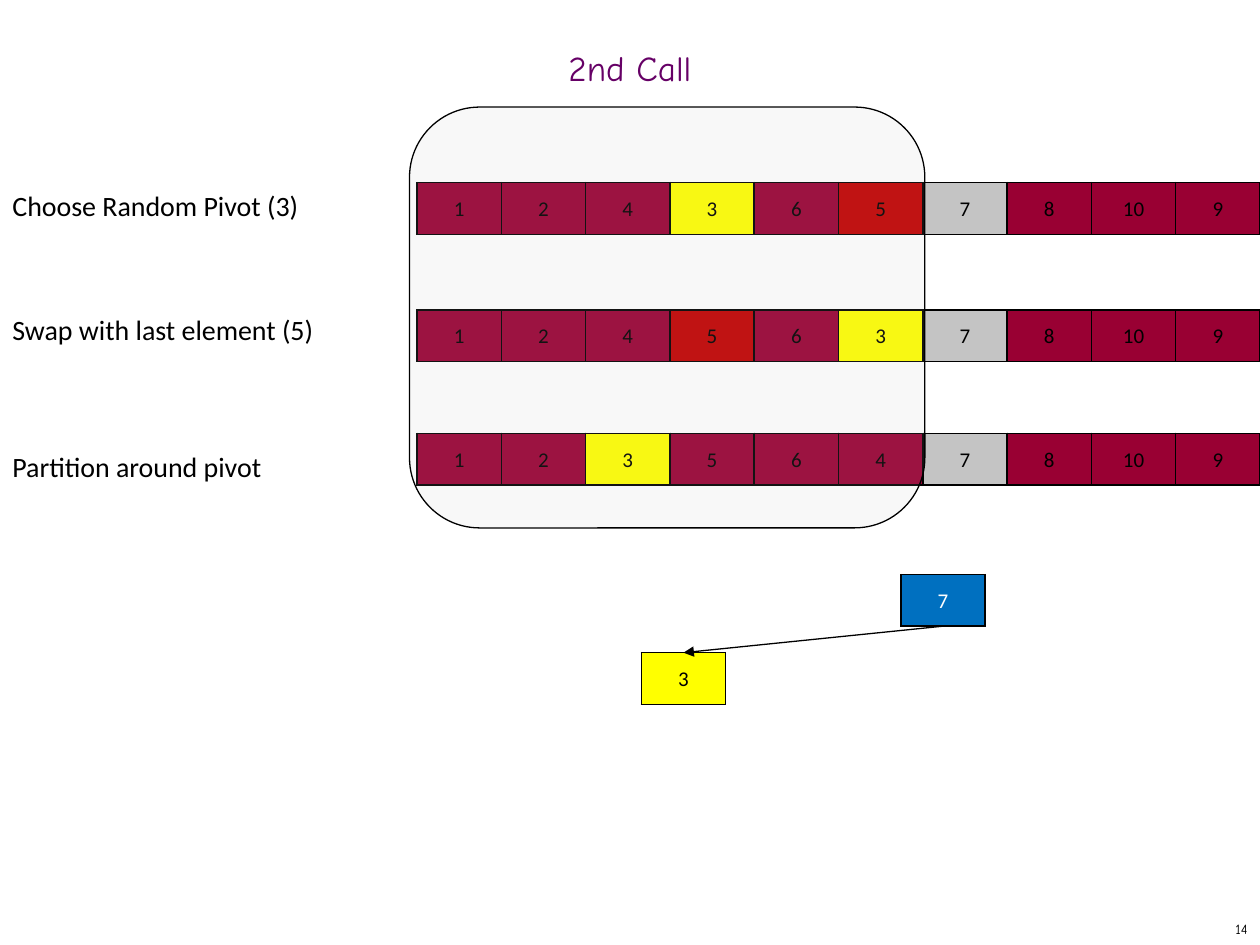
from pptx import Presentation
from pptx.dml.color import RGBColor
from pptx.enum.shapes import MSO_CONNECTOR as Connector, MSO_SHAPE as Shape
from pptx.enum.text import MSO_ANCHOR as Anchor, MSO_AUTO_SIZE as AutoSize, PP_ALIGN as Align
from pptx.oxml import parse_xml
from pptx.oxml.ns import nsdecls, qn
from pptx.util import Inches, Pt

BLACK = RGBColor(0x00, 0x00, 0x00)
WHITE = RGBColor(0xFF, 0xFF, 0xFF)
PURPLE = RGBColor(0x66, 0x00, 0x66)
MAROON = RGBColor(0x99, 0x00, 0x33)
YELLOW = RGBColor(0xFF, 0xFF, 0x00)
RED = RGBColor(0xC0, 0x00, 0x00)
GRAY = RGBColor(0xC4, 0xC4, 0xC4)
SILVER = RGBColor(0xC0, 0xC0, 0xC0)
BLUE = RGBColor(0x00, 0x70, 0xC0)

SLIDE_W, SLIDE_H = 10, 7.5
ARRAY_X = 3.31
CELL_W = (SLIDE_W - ARRAY_X) / 10
CELL_H = 0.41

# Label, label top, array top, values, fills that differ from maroon (by index)
STEPS = [
    ("Choose Random Pivot (3)", 1.45, 1.45,
     [1, 2, 4, 3, 6, 5, 7, 8, 10, 9], {3: YELLOW, 5: RED, 6: GRAY}),
    ("Swap with last element (5)", 2.43, 2.46,
     [1, 2, 4, 5, 6, 3, 7, 8, 10, 9], {3: RED, 5: YELLOW, 6: GRAY}),
    ("Partition around pivot", 3.52, 3.44,
     [1, 2, 3, 5, 6, 4, 7, 8, 10, 9], {2: YELLOW, 6: GRAY}),
]


def style(p, name, size, color, align=Align.LEFT):
    p.alignment = align
    p.font.name = name
    p.font.size = Pt(size)
    p.font.color.rgb = color


def add_title(s, text):
    sp = s.shapes.title
    sp.left, sp.top, sp.width, sp.height = map(Inches, (0, 0.33, SLIDE_W, 0.5))
    tf = sp.text_frame
    tf.text = text
    tf.auto_size = AutoSize.NONE
    tf.vertical_anchor = Anchor.MIDDLE
    p = tf.paragraphs[0]
    p.line_spacing = 0.7
    style(p, "Comic Neue", 20, PURPLE, Align.CENTER)


def add_text(s, text, x, y, w, h):
    sp = s.shapes.add_textbox(Inches(x), Inches(y), Inches(w), Inches(h))
    tf = sp.text_frame
    tf.word_wrap = True
    tf.text = text
    return tf


def add_label(s, text, y):
    tf = add_text(s, text, 0, y, 2.62, 0.37)
    tf.auto_size = AutoSize.SHAPE_TO_FIT_TEXT
    style(tf.paragraphs[0], "Calibri", 16, BLACK)


def add_slide_number(s, number):
    tf = add_text(s, str(number), 7.92, 7.25, 2.08, 0.25)
    tf.vertical_anchor = Anchor.MIDDLE
    style(tf.paragraphs[0], "Comic Neue", 8, BLACK, Align.RIGHT)


def set_borders(cell):
    tc_pr = cell._tc.get_or_add_tcPr()
    for i, side in enumerate(("lnL", "lnR", "lnT", "lnB")):
        tc_pr.insert(i, parse_xml(
            f'<a:{side} {nsdecls("a")} w="{Pt(1)}"><a:solidFill>'
            f'<a:srgbClr val="{BLACK}"/></a:solidFill></a:{side}>'))


def add_element(s, value, x, y, fill=MAROON, color=BLACK):
    """One array element: a table with a single cell."""
    frame = s.shapes.add_table(1, 1, Inches(x), Inches(y), Inches(CELL_W), Inches(CELL_H))
    cell = frame.table.cell(0, 0)
    cell.text = str(value)
    cell.vertical_anchor = Anchor.MIDDLE
    cell.margin_left = cell.margin_right = cell.margin_top = Inches(0.01)
    cell.margin_bottom = 0
    cell.fill.solid()
    cell.fill.fore_color.rgb = fill
    set_borders(cell)
    style(cell.text_frame.paragraphs[0], "Calibri", 12, color, Align.CENTER)


def add_array(s, values, y, fills):
    for i, value in enumerate(values):
        add_element(s, value, ARRAY_X + i * CELL_W, y, fills.get(i, MAROON))


def add_arrow(s, x1, y1, x2, y2):
    line = s.shapes.add_connector(Connector.STRAIGHT, *map(Inches, (x1, y1, x2, y2)))
    line.line.color.rgb = BLACK
    line.line.width = Pt(0.75)
    line.line._get_or_add_ln().append(parse_xml(f'<a:tailEnd {nsdecls("a")} type="triangle"/>'))
    line._element.spPr.append(parse_xml(f'<a:effectLst {nsdecls("a")}/>'))


def add_highlight(s, x, y, w, h):
    """Nearly clear rounded box over the part being sorted."""
    sp = s.shapes.add_shape(Shape.ROUNDED_RECTANGLE, *map(Inches, (x, y, w, h)))
    sp.shadow.inherit = False
    sp.fill.solid()
    sp.fill.fore_color.rgb = SILVER
    color = sp._element.spPr.find(qn("a:solidFill"))[0]
    color.append(parse_xml(f'<a:alpha {nsdecls("a")} val="10000"/>'))
    sp.line.color.rgb = BLACK
    sp.line.width = Pt(0.75)


def main():
    prs = Presentation()
    prs.slide_width, prs.slide_height = Inches(SLIDE_W), Inches(SLIDE_H)
    s = prs.slides.add_slide(prs.slide_layouts[5])

    add_slide_number(s, 14)
    add_title(s, "2nd Call")

    # Steps of the call
    for label, label_y, array_y, values, fills in STEPS:
        add_label(s, label, label_y)
        add_array(s, values, array_y, fills)

    # Tree of pivots
    parent_x, parent_y = 7.15, 4.56
    child_x, child_y = 5.09, 5.18
    add_element(s, 7, parent_x, parent_y, BLUE, WHITE)
    add_element(s, 3, child_x, child_y, YELLOW)
    add_arrow(s, parent_x + CELL_W / 2, parent_y + CELL_H, child_x + CELL_W / 2, child_y)

    add_highlight(s, 3.25, 0.85, 4.09, 3.34)
    prs.save("out.pptx")


if __name__ == "__main__":
    main()
